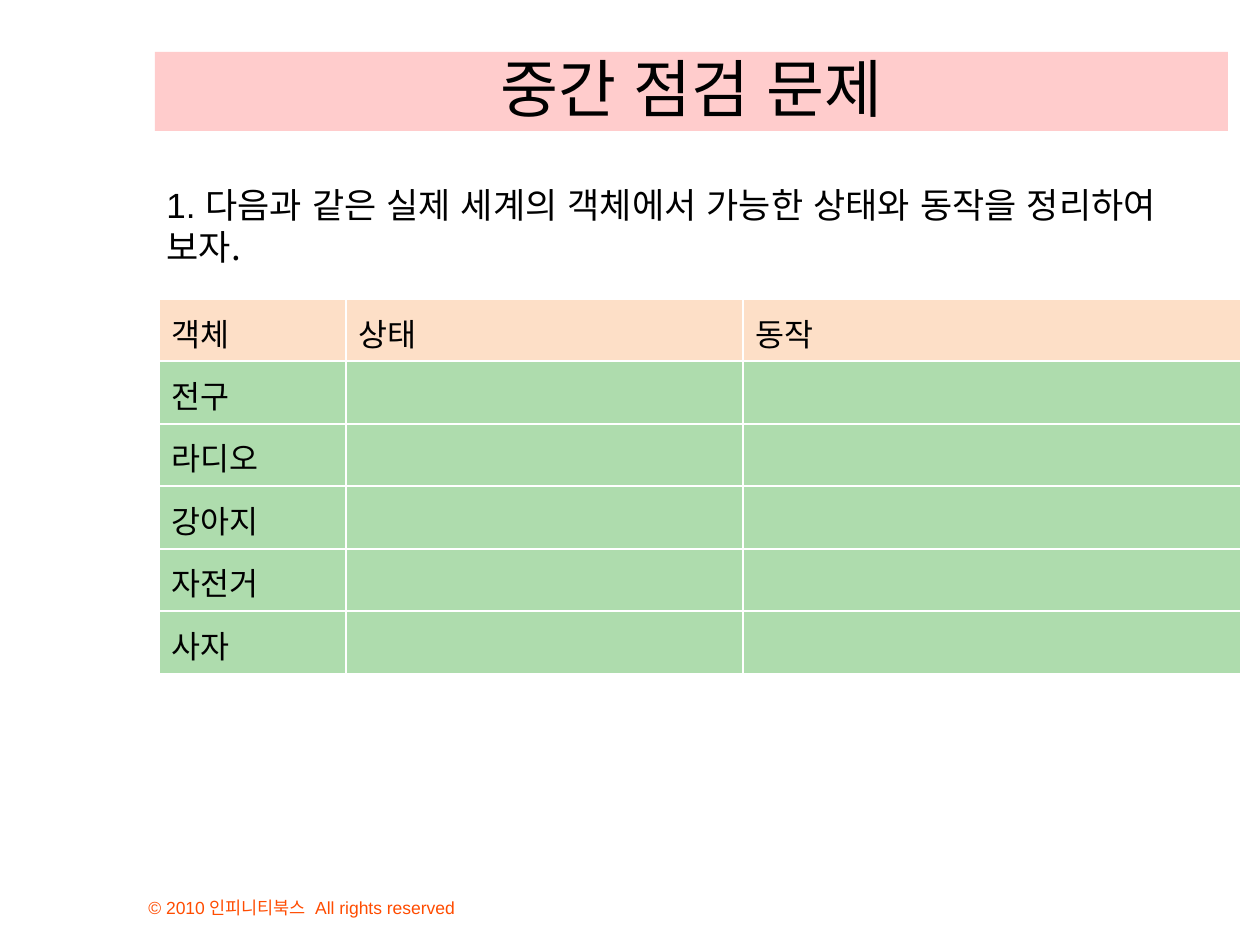
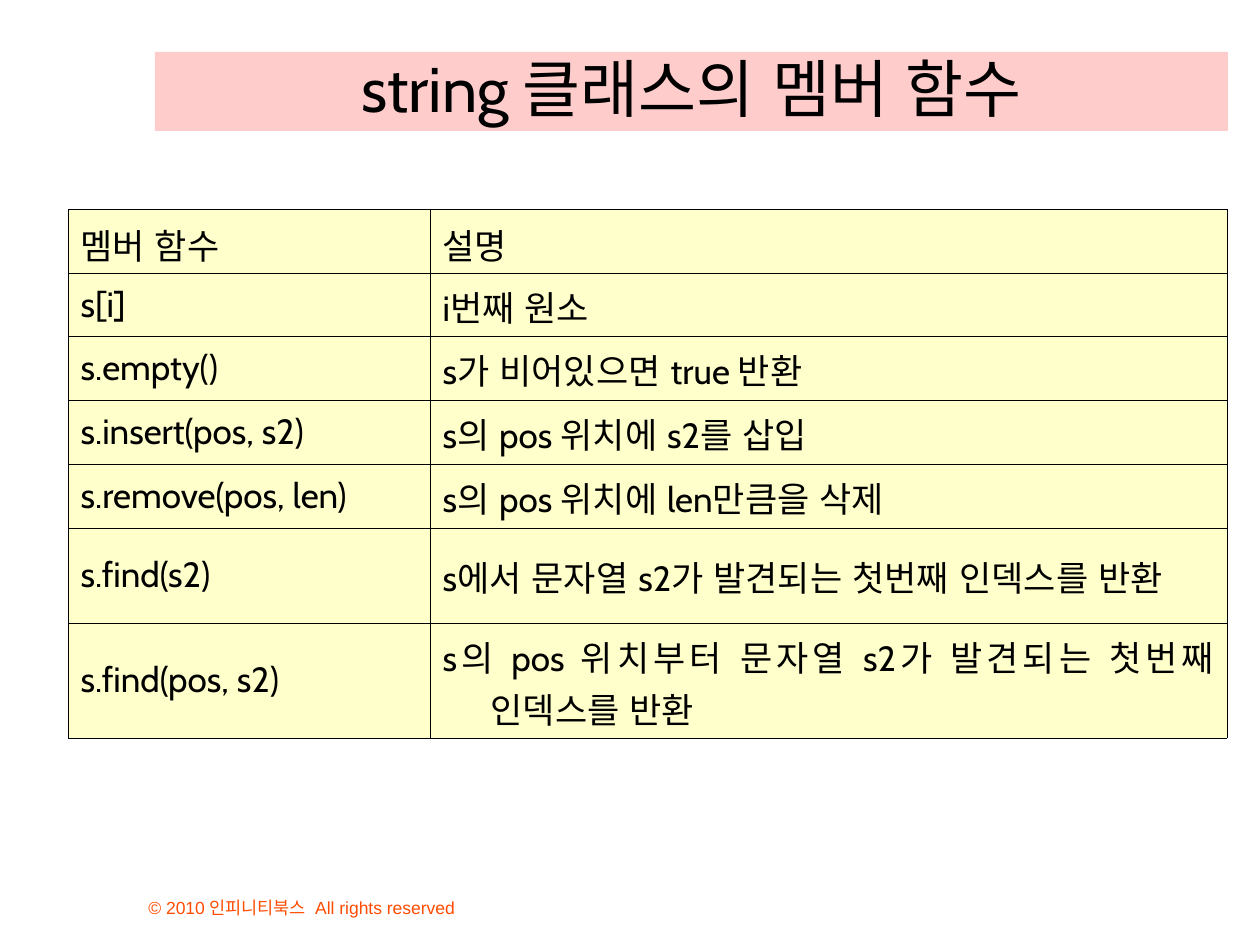
import pptx
import pptx.util
import pptx.dml.color
import pptx.enum.shapes
import pptx.enum.text
import pptx.oxml.ns
import lxml.etree
from dataclasses import dataclass

ALIGN = pptx.enum.text.PP_ALIGN
ANCHOR = pptx.enum.text.MSO_ANCHOR


# Content
FOOTER = "© 2010 인피니티북스  All rights reserved"

QUIZ_TITLE = "중간 점검 문제"
QUIZ_NUMBER = "1. "
QUIZ_QUESTION = "다음과 같은 실제 세계의 객체에서 가능한 상태와 동작을 정리하여 보자."
QUIZ_HEADER = ("객체", "상태", "동작")
QUIZ_OBJECTS = ("전구", "라디오", "강아지", "자전거", "사자")

STRING_TITLE = "string 클래스의 멤버 함수"
STRING_ROWS = [
    ("멤버 함수", "설명"),
    ("s[i]", "i번째 원소"),
    ("s.empty()", "s가 비어있으면 true 반환"),
    ("s.insert(pos, s2)", "s의 pos 위치에 s2를 삽입"),
    ("s.remove(pos, len)", "s의 pos 위치에 len만큼을 삭제"),
    ("s.find(s2)", "s에서 문자열 s2가 발견되는 첫번째 인덱스를 반환"),
    ("s.find(pos, s2)", "s의 pos 위치부터 문자열 s2가 발견되는 첫번째 인덱스를 반환"),
]


# Theme and layout
@dataclass(frozen=True)
class Theme:
    text: str = "000000"
    footer: str = "FF4C00"
    band: str = "FFCCCC"
    quiz_header: str = "FDDFC7"
    quiz_body: str = "AEDCAD"
    quiz_border: str = "FFFFFF"
    string_cell: str = "FFFFCC"
    string_border: str = "000000"
    title_size: int = 36
    body_size: int = 20
    cell_size: int = 18
    footer_size: int = 10
    title_font: str = "Cabin"
    plain_font: str = "Arial"
    korean_font: str = "Noto Sans CJK KR"


THEME = Theme()
SLIDE_SIZE = (1260, 945)
TITLE_BOX = (155, 52, 1073, 79)
TITLE_BOTTOM_MARGIN = 6
FOOTER_BOX = (136, 871, 483, 53)
QUESTION_BOX = (154, 177, 1071, 139)
QUIZ_ORIGIN = (159, 299)
QUIZ_COLUMNS = (187, 397, 498)
QUIZ_HEIGHTS = [62, 63] * 3
STRING_ORIGIN = (68, 209)
STRING_COLUMNS = (362, 797)
STRING_HEIGHTS = [64, 63, 64, 63, 64, 95, 115]
HANGING_INDENT = 48


def px(length):
    return pptx.util.Emu(round(length * 914400 / 126))


def box(lengths):
    return [px(length) for length in lengths]


def rgb(color):
    return pptx.dml.color.RGBColor.from_string(color)


def write_text(frame, text, *, size, font=THEME.title_font, color=THEME.text,
               align=ALIGN.LEFT, anchor=ANCHOR.MIDDLE, indent=0, spacing=None):
    """Write one paragraph; text is a string or a list of (text, font) runs."""
    frame.word_wrap = True
    frame.vertical_anchor = anchor
    paragraph = frame.paragraphs[0]
    paragraph.alignment = align
    if spacing:
        paragraph.line_spacing = pptx.util.Pt(spacing)
    if indent:
        properties = paragraph._p.get_or_add_pPr()
        properties.set("marL", str(px(indent)))
        properties.set("indent", str(-px(indent)))
    for run_text, run_font in [(text, font)] if isinstance(text, str) else text:
        run = paragraph.add_run()
        run.text = run_text
        run.font.size = pptx.util.Pt(size)
        run.font.name = run_font
        run.font.color.rgb = rgb(color)
        east_asian = lxml.etree.SubElement(run._r.get_or_add_rPr(), pptx.oxml.ns.qn("a:ea"))
        east_asian.set("typeface", THEME.plain_font)


def style_cell(cell, fill, border, border_width):
    properties = cell._tc.get_or_add_tcPr()
    for side in ("lnL", "lnR", "lnT", "lnB"):
        line = lxml.etree.SubElement(properties, pptx.oxml.ns.qn("a:" + side))
        line.set("w", str(pptx.util.Pt(border_width)))
        solid = lxml.etree.SubElement(line, pptx.oxml.ns.qn("a:solidFill"))
        lxml.etree.SubElement(solid, pptx.oxml.ns.qn("a:srgbClr")).set("val", border)
    cell.fill.solid()
    cell.fill.fore_color.rgb = rgb(fill)
    cell.vertical_anchor = ANCHOR.MIDDLE


def add_grid(slide, origin, columns, heights, rows, fills, border, border_width,
             korean_spacing, **text_format):
    size = (sum(columns), sum(heights))
    table = slide.shapes.add_table(len(rows), len(columns), *box(origin + size)).table
    table.first_row = table.horz_banding = False
    for column, width in zip(table.columns, columns):
        column.width = px(width)
    for row, height, texts, fill in zip(table.rows, heights, rows, fills):
        row.height = px(height)
        for cell, text in zip(row.cells, texts):
            style_cell(cell, fill, border, border_width)
            if text:
                # Korean lines are taller than lines of code
                spacing = None if text.isascii() else korean_spacing
                write_text(cell.text_frame, text, align=ALIGN.JUSTIFY, spacing=spacing,
                           **text_format)


def add_slide(presentation, title):
    """Add a slide with the shared footer and title band."""
    slide = presentation.slides.add_slide(presentation.slide_layouts[6])
    footer = slide.shapes.add_textbox(*box(FOOTER_BOX))
    write_text(footer.text_frame, FOOTER, size=THEME.footer_size, font=THEME.plain_font,
               color=THEME.footer, anchor=ANCHOR.BOTTOM)
    band = slide.shapes.add_shape(pptx.enum.shapes.MSO_SHAPE.RECTANGLE, *box(TITLE_BOX))
    band.shadow.inherit = False
    band.fill.solid()
    band.fill.fore_color.rgb = rgb(THEME.band)
    band.line.fill.background()
    frame = band.text_frame
    frame.margin_left = frame.margin_right = frame.margin_top = 0
    frame.margin_bottom = px(TITLE_BOTTOM_MARGIN)
    write_text(frame, title, size=THEME.title_size, align=ALIGN.CENTER, anchor=ANCHOR.BOTTOM)
    return slide


def build_quiz(presentation):
    slide = add_slide(presentation, QUIZ_TITLE)
    question = slide.shapes.add_textbox(*box(QUESTION_BOX))
    write_text(question.text_frame,
               [(QUIZ_NUMBER, THEME.plain_font), (QUIZ_QUESTION, THEME.korean_font)],
               size=THEME.body_size, anchor=ANCHOR.TOP, spacing=24)
    rows = [QUIZ_HEADER] + [(name, "", "") for name in QUIZ_OBJECTS]
    fills = [THEME.quiz_header] + [THEME.quiz_body] * len(QUIZ_OBJECTS)
    add_grid(slide, QUIZ_ORIGIN, QUIZ_COLUMNS, QUIZ_HEIGHTS, rows, fills,
             THEME.quiz_border, 1.47, korean_spacing=26,
             size=THEME.cell_size, font=THEME.korean_font)


def build_string_functions(presentation):
    slide = add_slide(presentation, STRING_TITLE)
    add_grid(slide, STRING_ORIGIN, STRING_COLUMNS, STRING_HEIGHTS, STRING_ROWS,
             [THEME.string_cell] * len(STRING_ROWS), THEME.string_border, 0.06,
             korean_spacing=29, size=THEME.body_size, indent=HANGING_INDENT)


def main():
    presentation = pptx.Presentation()
    presentation.slide_width, presentation.slide_height = box(SLIDE_SIZE)
    build_quiz(presentation)
    build_string_functions(presentation)
    presentation.save("out.pptx")


if __name__ == "__main__":
    main()
